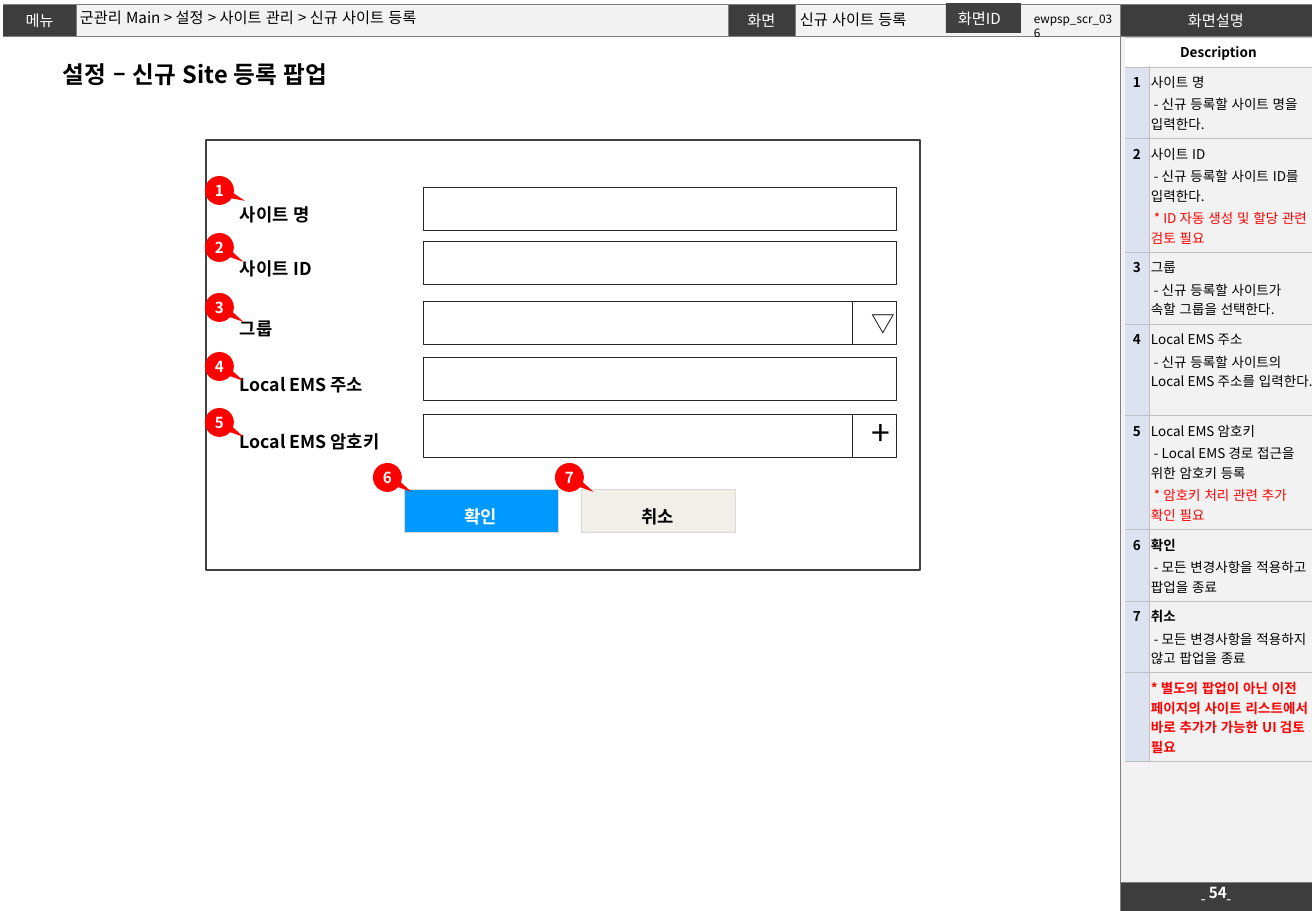
from lxml.etree import SubElement
from pptx import Presentation
from pptx.dml.color import RGBColor
from pptx.enum.lang import MSO_LANGUAGE_ID
from pptx.enum.shapes import MSO_SHAPE
from pptx.enum.text import MSO_ANCHOR, MSO_AUTO_SIZE, PP_ALIGN
from pptx.oxml.ns import qn
from pptx.util import Pt

# Content
COLORS = {"dark": "3D3D3D", "tag": "404040", "pale": "F2F2F2", "white": "FFFFFF",
          "black": "000000", "red": "FF0000", "blue": "0099FF", "beige": "F0F0E9",
          "number": "DCE2EF", "field": "262626", "button": "D9D9D9",
          "frame": "808080", "rule": "BFBFBF"}
FONT = "Noto Sans CJK KR"
TITLE = "설정 – 신규 Site 등록 팝업"
HEADER = [("메뉴", "dark", FONT), ("", "pale", FONT), ("화면", "dark", FONT),
          ("", "pale", FONT), ("화면설명", "dark", "Arial")]
FRAME_COLUMNS = [73, 652, 67, 325, 192]
FRAME_ROWS = [32, 846, 28]

# Each paragraph: text, color, bold
DESCRIPTIONS = [
    ("1", 71, [("사이트 명", "black", False),
               (" - 신규 등록할 사이트 명을 입력한다.", "black", False)]),
    ("2", 113, [("사이트 ID", "black", False),
                (" - 신규 등록할 사이트 ID를 입력한다.", "black", False),
                (" * ID 자동 생성 및 할당 관련 검토 필요", "red", False)]),
    ("3", 72, [("그룹", "black", False),
               (" - 신규 등록할 사이트가 속할 그룹을 선택한다.", "black", False)]),
    ("4", 90, [("Local EMS 주소", "black", False),
               (" - 신규 등록할 사이트의 Local EMS 주소를 입력한다.", "black", False)]),
    ("5", 114, [("Local EMS 암호키", "black", False),
                (" - Local EMS 경로 접근을 위한 암호키 등록", "black", False),
                (" * 암호키 처리 관련 추가 확인 필요", "red", False)]),
    ("6", 71, [("확인", "black", True),
               (" - 모든 변경사항을 적용하고 팝업을 종료", "black", False)]),
    ("7", 71, [("취소", "black", True),
               (" - 모든 변경사항을 적용하지 않고 팝업을 종료", "black", False)]),
    ("", 88, [("* 별도의 팝업이 아닌 이전 페이지의 사이트 리스트에서 바로 추가가 가능한 UI 검토 필요",
               "red", True)]),
]
# Label, top, side symbol: text, size, top, height
FIELDS = [("사이트 명", 187, None), ("사이트 ID", 241, None),
          ("그룹", 301, ("▽", 14, 303, 41)), ("Local EMS 주소", 357, None),
          ("Local EMS 암호키", 414, ("+", 20, 405, 53))]
BUTTONS = [("확인", 404, "blue", "white"), ("취소", 581, "beige", "black")]
MARKERS = [(205, 176), (205, 233), (205, 293), (205, 352), (205, 408),
           (373, 463), (555, 463)]

PX = 7526
presentation = Presentation()
presentation.slide_width, presentation.slide_height = 1316 * PX, 911 * PX
slide = presentation.slides.add_slide(presentation.slide_layouts[6])


def color(name):
    return RGBColor.from_string(COLORS[name])


def set_margins(target, margins):
    (target.margin_left, target.margin_top,
     target.margin_right, target.margin_bottom) = [value * PX for value in margins]


def write(frame, paragraphs, size, align=PP_ALIGN.LEFT, spacing=None, font=FONT):
    frame.text = "\n".join(text for text, _, _ in paragraphs)
    for index, (paragraph, (_, ink, bold)) in enumerate(zip(frame.paragraphs, paragraphs)):
        paragraph.alignment = align
        if spacing:
            paragraph.line_spacing = spacing
        if index:
            paragraph.space_before = Pt(1.6)
        for run in paragraph.runs:
            run.font.size, run.font.bold, run.font.name = Pt(size), bold, font
            run.font.color.rgb = color(ink)
            run.font.language_id = MSO_LANGUAGE_ID.KOREAN
            SubElement(run.font._element, qn("a:ea"), typeface=FONT)
        if not paragraph.runs:
            SubElement(paragraph._p, qn("a:endParaRPr"), sz=str(size * 100))


def add_shape(box, fill=None, line=None, width=0.25, kind=MSO_SHAPE.RECTANGLE):
    shape = slide.shapes.add_shape(kind, *[value * PX for value in box])
    shape.shadow.inherit = False
    if fill:
        shape.fill.solid()
        shape.fill.fore_color.rgb = color(fill)
    else:
        shape.fill.background()
    if line:
        shape.line.color.rgb = color(line)
        shape.line.width = Pt(width)
    else:
        shape.line.fill.background()
    return shape


def add_label(box, text, size, ink="black", bold=False, align=PP_ALIGN.LEFT, spacing=None,
              anchor=MSO_ANCHOR.TOP, margins=(12, 6, 12, 6), grow=False, shape=None):
    if shape is None:
        shape = slide.shapes.add_textbox(*[value * PX for value in box])
    frame = shape.text_frame
    frame.word_wrap, frame.vertical_anchor = True, anchor
    frame.auto_size = MSO_AUTO_SIZE.SHAPE_TO_FIT_TEXT if grow else MSO_AUTO_SIZE.NONE
    set_margins(frame, margins)
    write(frame, [(text, ink, bold)], size, align, spacing)


def add_table(left, top, columns, rows):
    table = slide.shapes.add_table(len(rows), len(columns), left * PX, top * PX,
                                   sum(columns) * PX, sum(rows) * PX).table
    table.first_row = table.horz_banding = False
    for column, width in zip(table.columns, columns):
        column.width = width * PX
    for row, height in zip(table.rows, rows):
        row.height = height * PX
    return table


def style_cell(cell, fill, line, sides, margins):
    properties = cell._tc.get_or_add_tcPr()
    for side in "LRTB":
        border = SubElement(properties, qn(f"a:ln{side}"), w=str(Pt(0.25)))
        if side in sides:
            solid = SubElement(border, qn("a:solidFill"))
            SubElement(solid, qn("a:srgbClr"), val=COLORS[line])
        else:
            SubElement(border, qn("a:noFill"))
    if fill:
        cell.fill.solid()
        cell.fill.fore_color.rgb = color(fill)
    else:
        cell.fill.background()
    set_margins(cell, margins)


# Page frame
frame_table = add_table(3, 4, FRAME_COLUMNS, FRAME_ROWS)
for column, (text, fill, font) in enumerate(HEADER):
    cell = frame_table.cell(0, column)
    style_cell(cell, fill, "frame", "RTB" if column == 0 else "LTB" if column == 4 else "LRTB",
               (5, 5, 5, 5))
    cell.vertical_anchor = MSO_ANCHOR.MIDDLE
    write(cell.text_frame, [(text, "white", False)], 9, PP_ALIGN.CENTER, font=font)
for row, sides, side_fill, dashes in [(1, "TR", "pale", ""), (2, "RB", "dark", "- -")]:
    body, side_cell = frame_table.cell(row, 0), frame_table.cell(row, 4)
    body.merge(frame_table.cell(row, 3))
    for cell, fill, edges, text in [(body, "white", sides, ""),
                                    (side_cell, side_fill, "LTB", dashes)]:
        style_cell(cell, fill, "frame", edges, (5, 5, 5, 5))
        cell.vertical_anchor = MSO_ANCHOR.MIDDLE
        write(cell.text_frame, [(text, "white", False)], 9, PP_ALIGN.CENTER)
# Letter spacing leaves room for the page number between the dashes
frame_table.cell(2, 4).text_frame.paragraphs[0].runs[0].font._element.set("spc", "500")

# Popup outline, page number and header entries
add_shape((206, 140, 714, 430), "white", "tag", 1)
add_label((1193, 883, 50, 18), "54", 9, "white", True, PP_ALIGN.CENTER,
          anchor=MSO_ANCHOR.MIDDLE, margins=(0, 0, 0, 0))
add_label((80, 8, 642, 18), "군관리 Main > 설정 > 사이트 관리 > 신규 사이트 등록", 9,
          anchor=MSO_ANCHOR.MIDDLE, margins=(0, 0, 0, 0))
add_label((800, 6, 164, 27), "신규 사이트 등록", 9,
          anchor=MSO_ANCHOR.MIDDLE, margins=(0, 0, 0, 0))

# Description table
description_table = add_table(1125, 37, [24, 163], [29] + [row[1] for row in DESCRIPTIONS])
heading = description_table.cell(0, 0)
heading.merge(description_table.cell(0, 1))
style_cell(heading, "white", "rule", "TB", (2, 5, 2, 5))
write(heading.text_frame, [("Description", "black", True)], 8, PP_ALIGN.CENTER)
heading.vertical_anchor = MSO_ANCHOR.MIDDLE
for row, (number, _, paragraphs) in enumerate(DESCRIPTIONS, 1):
    number_cell, text_cell = description_table.cell(row, 0), description_table.cell(row, 1)
    style_cell(number_cell, "number", "rule", "RTB", (2, 5, 2, 5))
    style_cell(text_cell, None, "rule", "LTB", (2, 5, 2, 5))
    write(number_cell.text_frame, [(number, "black", True)], 8, PP_ALIGN.CENTER)
    write(text_cell.text_frame, paragraphs, 8)

# Screen ID
add_label(None, "화면ID", 9, "white", grow=True, shape=add_shape((946, 3, 75, 30), "tag"))
add_label((1022, 6, 106, 27), "ewpsp_scr_036", 7, grow=True)

# Buttons
for text, left, fill, ink in BUTTONS:
    add_label(None, text, 10.5, ink, True, PP_ALIGN.CENTER, 1.5,
              shape=add_shape((left, 489, 154, 43), fill, "button"))

# Form fields
for text, top, side in FIELDS:
    add_label((228, top, 177, 43), text, 10.5, bold=True, spacing=1.5)
    add_shape((423, top, 429 if side else 473, 43), "white", "field")
    if side:
        symbol, size, symbol_top, symbol_height = side
        add_shape((852, top, 44, 43), None, "field")
        add_label((860, symbol_top, 29, symbol_height), symbol, size, align=PP_ALIGN.CENTER,
                  anchor=MSO_ANCHOR.MIDDLE, grow=True)

# Numbered markers
for number, (left, top) in enumerate(MARKERS, 1):
    marker = add_shape((left, top, 29, 29), "red", kind=MSO_SHAPE.OVAL_CALLOUT)
    marker.adjustments[0], marker.adjustments[1] = (0.88, 0.36) if number == 1 else (0.83, 0.5)
    add_label(None, str(number), 9, "white", True, PP_ALIGN.CENTER,
              anchor=MSO_ANCHOR.MIDDLE, margins=(0, 6, 0, 6), shape=marker)

# Title
add_label((51, 54, 407, 41), TITLE, 14, bold=True, grow=True)

presentation.save("out.pptx")
